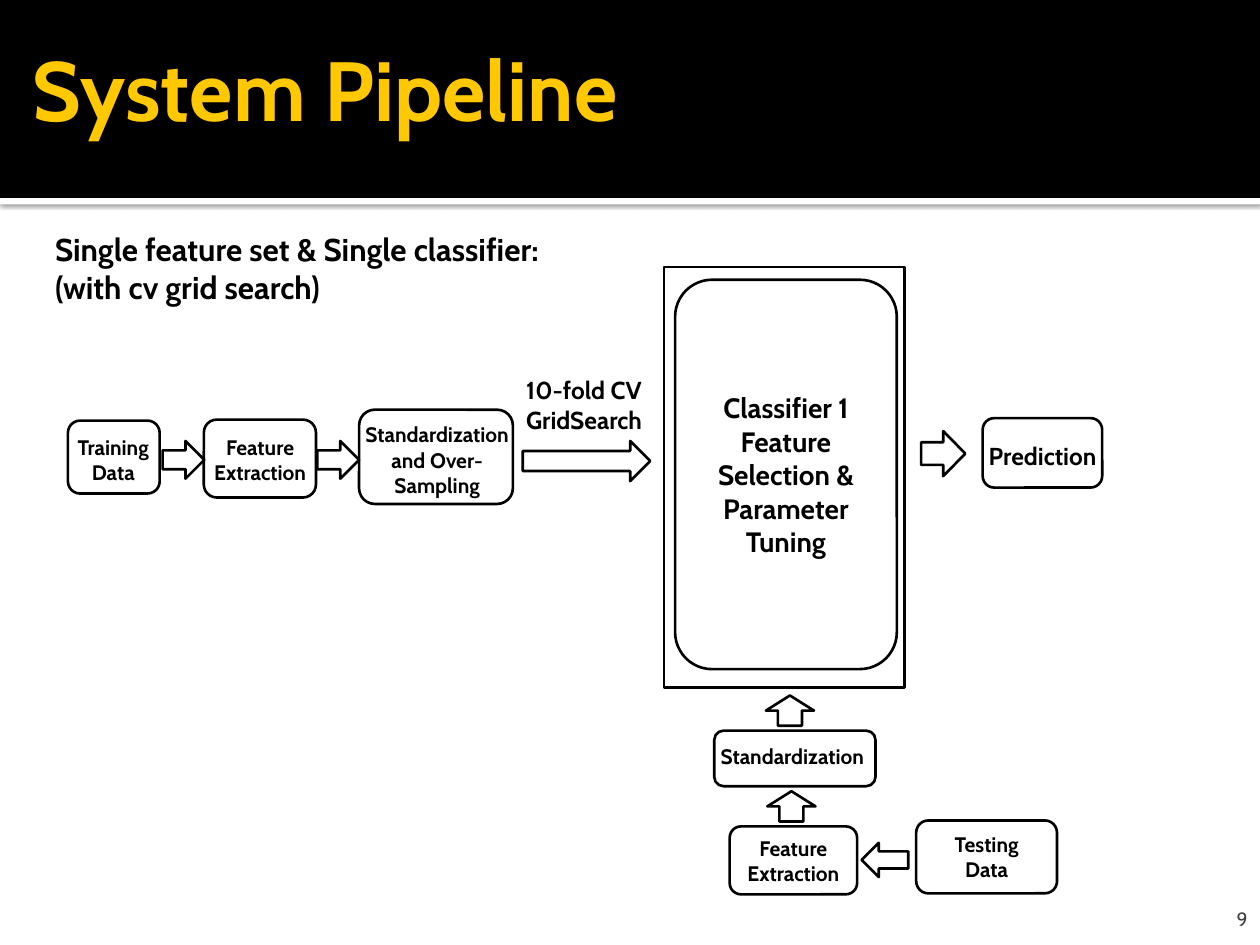
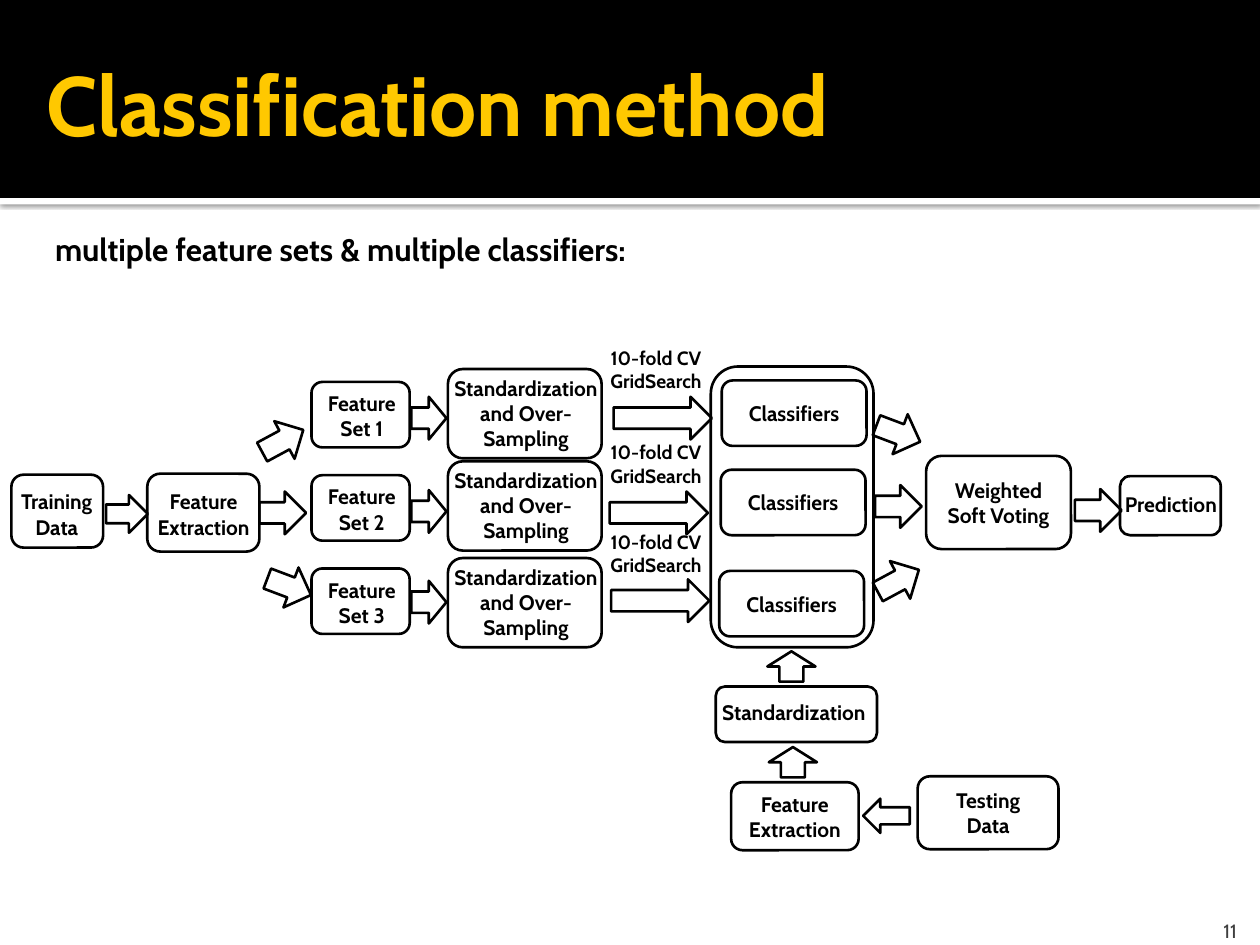
"""Build two slides that show classification pipelines."""
from lxml import etree
from pptx import Presentation
from pptx import util as u
from pptx.dml.color import RGBColor
from pptx.enum import shapes, text
from pptx.oxml import ns

ROUNDED = shapes.MSO_SHAPE.ROUNDED_RECTANGLE
RECTANGLE = shapes.MSO_SHAPE.RECTANGLE
ARROW = shapes.MSO_SHAPE.RIGHT_ARROW
CENTER, LEFT, RIGHT = text.PP_ALIGN.CENTER, text.PP_ALIGN.LEFT, text.PP_ALIGN.RIGHT
MIDDLE, TOP, BOTTOM = (text.MSO_ANCHOR.MIDDLE, text.MSO_ANCHOR.TOP,
                       text.MSO_ANCHOR.BOTTOM)
GROW, FIXED = text.MSO_AUTO_SIZE.SHAPE_TO_FIT_TEXT, text.MSO_AUTO_SIZE.NONE
UP, DOWN = 331.7, 20.7
OVERSAMPLING = "Standardization and Over-Sampling"


def color(value):
    """Return the colour for a hex string."""
    return RGBColor.from_string(value)


def set_values(target, values):
    """Set every attribute in a dict of format values."""
    for name, value in values.items():
        setattr(target, name, value)


class Deck:
    """Hold the style and the current slide."""

    ink, band, accent, muted, paper = "000000", "000000", "FFC800", "3F3F3F", "FFFFFF"
    font, line_width = "Cabin", u.Pt(1.5)

    def __init__(self):
        """Start a 4:3 presentation."""
        self.presentation = Presentation()
        self.presentation.slide_width = u.Cm(25.4)
        self.presentation.slide_height = u.Cm(19.05)
        self.slide = None
        self.origin = (0, 0)

    def place(self, left, top, width, height):
        """Return a frame moved by the current origin."""
        dx, dy = self.origin
        return [u.Cm(value) for value in (left + dx, top + dy, width, height)]

    def put_text(self, shape, content, size=12, bold=True, hue=ink, align=CENTER,
                 **frame):
        """Put formatted text in a shape."""
        text_frame = shape.text_frame
        text_frame.text = content
        set_values(text_frame, {"word_wrap": True, "vertical_anchor": MIDDLE, **frame})
        for paragraph in text_frame.paragraphs:
            paragraph.alignment = align
            for run in paragraph.runs:
                set_values(run.font,
                           {"name": self.font, "size": u.Pt(size), "bold": bold})
                run.font.color.rgb = color(hue)

    def add_slide(self, title, title_place, number, number_place):
        """Add a slide with its title and page number."""
        self.slide = self.presentation.slides.add_slide(
            self.presentation.slide_layouts[5])
        heading = self.slide.shapes.title
        set_values(heading, dict(zip(("left", "top", "width", "height"),
                                     self.place(*title_place))))
        self.put_text(heading, title, 48, hue=self.accent, align=LEFT, auto_size=FIXED,
                      margin_left=u.Cm(0.23), margin_right=u.Cm(0.13),
                      margin_top=u.Cm(0.13), margin_bottom=u.Cm(0.13))
        self.label((*number_place, 1.75, 0.97), number, size=11, bold=False,
                   hue=self.muted, align=RIGHT, vertical_anchor=BOTTOM,
                   auto_size=FIXED, margin_bottom=0)

    def add_bands(self):
        """Put the title band and its shadowed edge on the slide master."""
        bands = ((101, (0, 0, 25.4, 3.99), self.band),
                 (102, (0, 3.99, 25.4, 0.13), self.paper))
        for shape_id, frame, fill in bands:
            band = self.slide.shapes.add_shape(RECTANGLE, *self.place(*frame))
            band.shadow.inherit = False
            band.fill.solid()
            band.fill.fore_color.rgb = color(fill)
            band.line.fill.background()
            band.element.nvSpPr.cNvPr.id = shape_id
            self.presentation.slide_master.shapes.element.insert(2, band.element)
        effects = band.element.spPr.find(ns.qn("a:effectLst"))
        shadow = etree.SubElement(effects, ns.qn("a:outerShdw"), blurRad="31750",
                                  dist="10160", dir="5400000", rotWithShape="0")
        tint = etree.SubElement(shadow, ns.qn("a:srgbClr"), val=self.ink)
        etree.SubElement(tint, ns.qn("a:alpha"), val="60000")

    def outline(self, kind, frame, rotation=0):
        """Add an unfilled shape with a thin line."""
        shape = self.slide.shapes.add_shape(kind, *self.place(*frame))
        shape.shadow.inherit = False
        shape.fill.background()
        shape.line.color.rgb = color(self.ink)
        shape.line.width = self.line_width
        shape.rotation = rotation
        return shape

    def box(self, frame, content, size=12):
        """Add a rounded box with text inside."""
        self.put_text(self.outline(ROUNDED, frame), content, size)

    def label(self, frame, content, **style):
        """Add a text box."""
        shape = self.slide.shapes.add_textbox(*self.place(*frame))
        self.put_text(shape, content,
                      **{"vertical_anchor": TOP, "auto_size": GROW, **style})

    def labelled_box(self, frame, label_frame, content, **style):
        """Add a rounded box under a wider text box."""
        self.outline(ROUNDED, frame)
        self.label(label_frame, content, **style)

    def arrow(self, frame, rotation=0):
        """Add a block arrow."""
        self.outline(ARROW, frame, rotation)

    def subheading(self, width, height, content):
        """Add the line below the title band."""
        self.label((0.86, 4.52, width, height), content, size=18, align=LEFT,
                   word_wrap=False)

    def training_steps(self, origin=(0, 0)):
        """Draw the steps from training data to features."""
        self.origin = origin
        self.labelled_box((1.37, 8.48, 1.85, 1.47), (1.22, 8.64, 2.13, 2),
                          "Training Data")
        self.arrow((3.28, 8.89, 0.84, 0.76))
        self.labelled_box((4.11, 8.46, 2.26, 1.57), (3.76, 8.64, 2.97, 1.27),
                          "Feature Extraction")
        self.origin = (0, 0)

    def testing_steps(self, origin=(0, 0)):
        """Draw the steps from testing data up to the classifier."""
        self.origin = origin
        self.box((18.47, 16.54, 2.84, 1.47), "Testing Data")
        self.arrow((17.37, 16.99, 0.94, 0.69), 180)
        self.box((14.71, 16.66, 2.57, 1.37), "Feature Extraction")
        self.arrow((15.65, 15.77, 0.61, 0.97), 270)
        self.labelled_box((14.4, 14.73, 3.25, 1.12), (14.07, 14.86, 3.81, 0.76),
                          "Standardization")
        self.arrow((15.62, 13.84, 0.61, 0.97), 270)
        self.origin = (0, 0)


def build_single(deck):
    """Draw the pipeline with one classifier."""
    deck.add_slide("System Pipeline", (0.43, 0.41, 17.91, 2.74), "9", (23.65, 17.78))
    deck.subheading(10.52, 1.8,
                    "Single feature set & Single classifier:\n(with cv grid search)")
    deck.training_steps()
    deck.arrow((6.4, 8.89, 0.84, 0.76))
    deck.labelled_box((7.24, 8.26, 3.1, 1.9), (6.91, 8.38, 3.81, 1.8), OVERSAMPLING)
    deck.label((10.34, 7.44, 2.87, 1.45), "10-fold CV GridSearch", size=14)
    deck.arrow((10.54, 8.89, 2.57, 0.81))
    deck.outline(RECTANGLE, (13.39, 5.38, 4.85, 8.48))
    deck.box((13.61, 5.64, 4.47, 7.85),
             "Classifier 1\nFeature Selection & Parameter Tuning", 16)
    deck.arrow((18.57, 8.69, 0.89, 0.91))
    deck.labelled_box((19.81, 8.43, 2.41, 1.4), (19.66, 8.76, 2.72, 0.86),
                      "Prediction", size=14, word_wrap=False)
    deck.testing_steps()


def build_multiple(deck):
    """Draw the pipeline with three classifiers and voting."""
    deck.add_slide("Classification method", (0.71, 0.91, 21.59, 2.34), "11",
                   (23.44, 18.03))
    deck.subheading(12.22, 1.02, "multiple feature sets & multiple classifiers:")
    deck.training_steps((-1.14, 1.09))
    deck.outline(ROUNDED, (14.33, 7.39, 3.28, 5.66))
    rows = (
        ((5.23, 8.46), UP, 7.44, 8, (12.37, 8), 6.86, (14.55, 7.67), 8.31, DOWN),
        ((5.23, 9.91), 0, 9.3, 9.88, (12.29, 9.91), 8.76, (14.53, 9.47), 9.78, 0),
        ((5.36, 11.4), DOWN, 11.25, 11.71, (12.32, 11.68), 10.57, (14.5, 11.51),
         11.28, UP),
    )
    for index, row in enumerate(rows):
        (split, split_turn, sampling_top, link_top, search, search_top,
         classifier, vote_top, vote_turn) = row
        feature_top = 7.7 + 1.88 * index
        deck.arrow((*split, 0.94, 0.86), split_turn)
        deck.labelled_box((6.28, feature_top, 1.98, 1.32),
                          (6.28, feature_top + 0.05, 2.03, 1.27),
                          f"Feature Set {index + 1}")
        deck.arrow((8.29, link_top, 0.71, 0.86))
        deck.labelled_box((9.03, sampling_top, 3.1, 1.8),
                          (8.7, sampling_top, 3.81, 1.8), OVERSAMPLING)
        deck.label((11.79, search_top, 2.87, 1.19), "10-fold CV GridSearch", size=11)
        deck.arrow((*search, 1.98, 0.86))
        deck.box((*classifier, 2.92, 1.32), "Classifiers")
        deck.arrow((17.64, vote_top, 0.94, 0.86), vote_turn)
    deck.box((18.67, 9.19, 2.92, 1.88), "Weighted Soft Voting")
    deck.arrow((21.67, 9.86, 0.94, 0.86))
    deck.labelled_box((22.58, 9.6, 2.03, 1.19), (22.4, 9.78, 2.41, 0.76),
                      "Prediction", word_wrap=False)
    deck.testing_steps((0.03, -0.89))


def main():
    """Build and save the presentation."""
    deck = Deck()
    build_single(deck)
    build_multiple(deck)
    deck.add_bands()
    deck.presentation.save("out.pptx")


if __name__ == "__main__":
    main()
